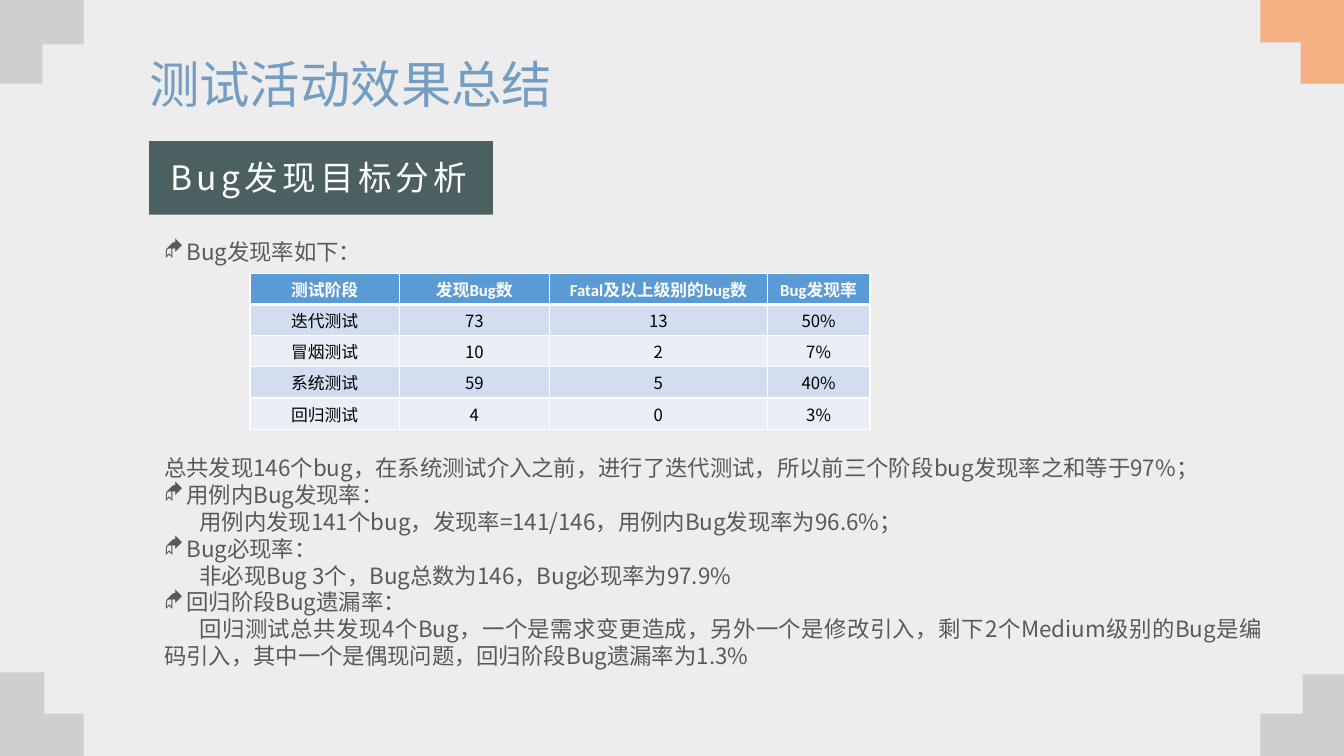
"""Build the slide that sums up the effect of the testing activities."""
import pptx
import pptx.dml.color
import pptx.enum.shapes
import pptx.enum.text
import pptx.oxml
import pptx.oxml.ns
import pptx.util

WIDTH, HEIGHT = 13.33, 7.5
SANS, LATIN = "Noto Sans CJK SC", "Calibri"
COLORS = {
    "page": "EDEDED", "grey": "D0CECE", "orange": "F4B183", "title": "759DC2",
    "banner": "4C6062", "white": "FFFFFF", "body": "595959", "black": "000000",
    "header": "5B9BD5", "odd": "D2DEEF", "even": "EAEFF7",
}
CORNERS = [
    (0, HEIGHT, 1, -1, 0.44, 0.42, "grey"),
    (0, 0, 1, 1, 0.42, 0.44, "grey"),
    (WIDTH, 0, -1, 1, 0.43, 0.42, "orange"),
    (WIDTH, HEIGHT + 0.02, -1, -1, 0.41, 0.44, "grey"),
]
CORNER_SIZE = 0.83
TITLE = "测试活动效果总结"
HEADING = "Bug发现目标分析"
FINDINGS = [
    ("bullet", "Bug发现率如下："),
    ("after_table", "总共发现146个bug，在系统测试介入之前，进行了迭代测试，所以前三个阶段bug发现率之和等于97%；"),
    ("bullet", "用例内Bug发现率："),
    ("indent", "用例内发现141个bug，发现率=141/146，用例内Bug发现率为96.6%；"),
    ("bullet", "Bug必现率："),
    ("indent", "非必现Bug 3个，Bug总数为146，Bug必现率为97.9%"),
    ("bullet", "回归阶段Bug遗漏率："),
    ("indent", "回归测试总共发现4个Bug，一个是需求变更造成，另外一个是修改引入，剩下2个Medium级别的Bug"
               "是编码引入，其中一个是偶现问题，回归阶段Bug遗漏率为1.3%"),
]
STAGES = [
    ("测试阶段", "发现Bug数", "Fatal及以上级别的bug数", "Bug发现率"),
    ("迭代测试", "73", "13", "50%"),
    ("冒烟测试", "10", "2", "7%"),
    ("系统测试", "59", "5", "40%"),
    ("回归测试", "4", "0", "3%"),
]
COLUMNS = [1.48, 1.49, 2.16, 1.02]
ROW_HEIGHT = 0.31
INDENTS = {"bullet": (0.22, -0.22), "indent": (0, 0.35), "after_table": (0, 0)}
ALIGN = pptx.enum.text.PP_ALIGN
Inches, Pt = pptx.util.Inches, pptx.util.Pt


def color(name):
    return pptx.dml.color.RGBColor.from_string(COLORS[name])


def assign(target, values):
    for name, value in values.items():
        setattr(target, name, value)


def element(xml):
    return pptx.oxml.parse_xml(xml.replace(" ", f' {pptx.oxml.ns.nsdecls("a")} ', 1))


def paint(shape, name):
    shape.shadow.inherit = False
    shape.fill.solid()
    shape.fill.fore_color.rgb = color(name)
    shape.line.fill.background()


def write(para, text, size, tint, face=SANS, bold=False, spacing=None):
    span = para.add_run()
    span.text = text
    assign(span.font, {"size": Pt(size), "name": face, "bold": bold})
    span.font.color.rgb = color(tint)
    properties = span.font._element
    properties.append(element(f'<a:ea typeface="{SANS}"/>'))
    if spacing:
        properties.set("spc", str(spacing * 100))


def add_box(page, left, top, width, height, side=0.1):
    box = page.shapes.add_textbox(*map(Inches, (left, top, width, height)))
    assign(box.text_frame, {
        "word_wrap": True, "margin_left": Inches(side), "margin_right": Inches(side),
    })
    return box.text_frame


def add_corner(page, x, y, across, down, arm, foot, tint):
    outline = [(0, 0), (CORNER_SIZE, 0), (CORNER_SIZE, foot), (arm, foot),
               (arm, CORNER_SIZE), (0, CORNER_SIZE)]
    points = [(Inches(x + across * dx), Inches(y + down * dy)) for dx, dy in outline]
    builder = page.shapes.build_freeform(*points[0])
    builder.add_line_segments(points[1:], close=True)
    paint(builder.convert_to_shape(), tint)


def add_findings(page):
    frame = add_box(page, 1.53, 2.31, 11.08, 5.15)
    for index, (kind, text) in enumerate(FINDINGS):
        para = frame.add_paragraph() if index else frame.paragraphs[0]
        properties = para._p.get_or_add_pPr()
        for name, length in zip(("marL", "indent"), INDENTS[kind]):
            properties.set(name, str(Inches(length)))
        if kind == "bullet":
            properties.append(element('<a:buFont typeface="Wingdings"/>'))
            properties.append(element('<a:buChar char="◆"/>'))
        assign(para, {"alignment": ALIGN.JUSTIFY, "line_spacing": Pt(19.26)})
        if kind == "after_table":
            para.space_before = Pt(135)
        write(para, text, 16, "body")


def add_stages(page):
    size = (sum(COLUMNS), ROW_HEIGHT * len(STAGES))
    table = page.shapes.add_table(
        len(STAGES), len(COLUMNS), *map(Inches, (2.48, 2.71, *size))).table
    for column, width in zip(table.columns, COLUMNS):
        column.width = Inches(width)
    for row, values in enumerate(STAGES):
        table.rows[row].height = Inches(ROW_HEIGHT)
        for column, value in enumerate(values):
            cell = table.cell(row, column)
            margins = {f"margin_{side}": Inches(0.01) for side in ("left", "top", "right", "bottom")}
            assign(cell, {"vertical_anchor": pptx.enum.text.MSO_ANCHOR.MIDDLE, **margins})
            for side in "LRTB":
                weight = 3 if (row, side) in ((0, "B"), (1, "T")) else 1
                cell._tc.get_or_add_tcPr().append(element(
                    f'<a:ln{side} w="{Pt(weight)}"><a:solidFill>'
                    f'<a:srgbClr val="{COLORS["white"]}"/></a:solidFill></a:ln{side}>'))
            cell.fill.solid()
            cell.fill.fore_color.rgb = color("header" if row == 0 else "odd" if row % 2 else "even")
            para = cell.text_frame.paragraphs[0]
            para.alignment = ALIGN.CENTER
            write(para, value, 12, "black" if row else "white",
                  SANS if row and column else LATIN, row == 0)


def main():
    deck = pptx.Presentation()
    assign(deck, {"slide_width": Inches(WIDTH), "slide_height": Inches(HEIGHT)})
    page = deck.slides.add_slide(deck.slide_layouts[6])
    page.background.fill.solid()
    page.background.fill.fore_color.rgb = color("page")
    for corner in CORNERS:
        add_corner(page, *corner)
    title = add_box(page, 1.38, 0.42, 4.24, 0.71).paragraphs[0]
    title.line_spacing = Pt(47.2)
    write(title, TITLE, 36, "title")
    banner = page.shapes.add_shape(
        pptx.enum.shapes.MSO_SHAPE.RECTANGLE, *map(Inches, (1.48, 1.4, 3.41, 0.73)))
    paint(banner, "banner")
    heading = add_box(page, 1.55, 1.47, 3.23, 0.5, side=0).paragraphs[0]
    assign(heading, {"alignment": ALIGN.CENTER, "line_spacing": Pt(31.7)})
    write(heading, HEADING, 24, "white", spacing=3)
    add_findings(page)
    add_stages(page)
    deck.save("out.pptx")


if __name__ == "__main__":
    main()
